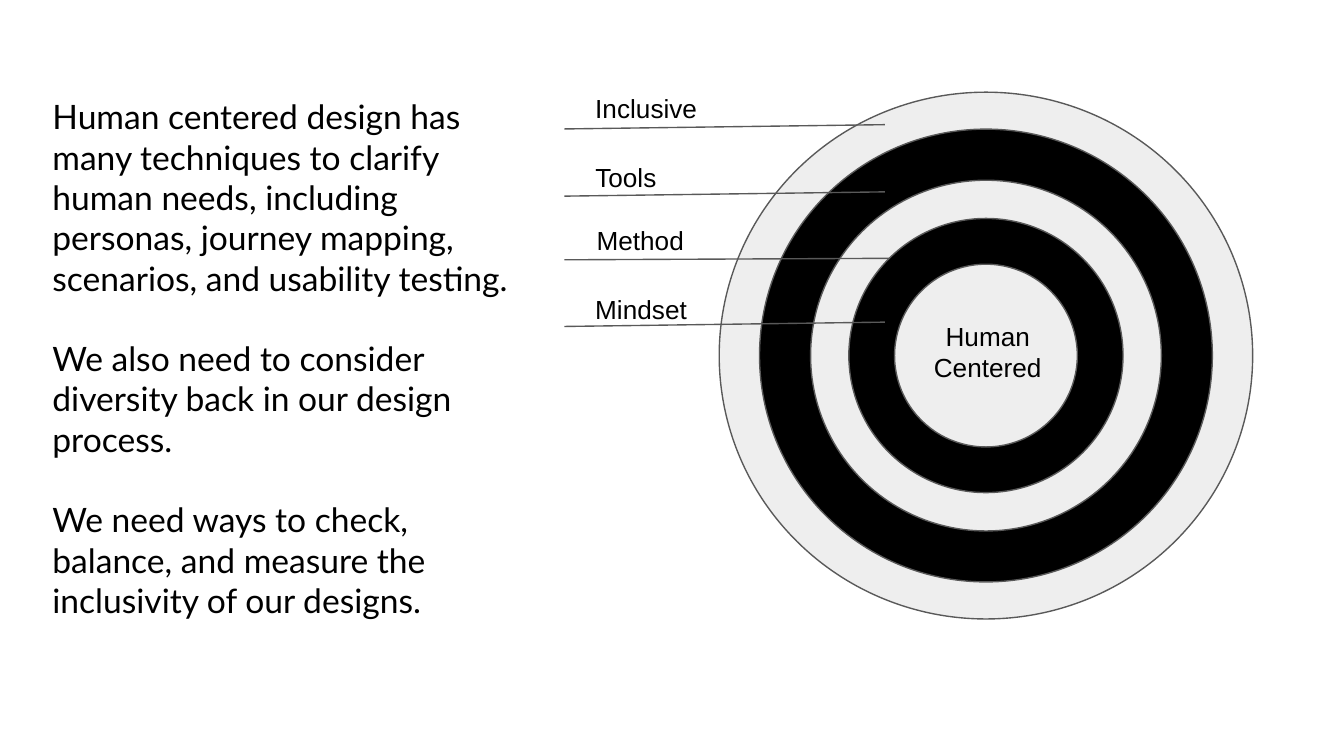
from dataclasses import dataclass

from lxml import etree
from pptx import Presentation
from pptx.dml.color import RGBColor
from pptx.enum.shapes import MSO_CONNECTOR, MSO_SHAPE
from pptx.enum.text import MSO_ANCHOR, MSO_AUTO_SIZE, PP_ALIGN
from pptx.oxml.ns import qn
from pptx.util import Pt


@dataclass(frozen=True)
class Theme:
    ink: RGBColor = RGBColor(0x00, 0x00, 0x00)
    pale: RGBColor = RGBColor(0xEE, 0xEE, 0xEE)
    outline: RGBColor = RGBColor(0x59, 0x59, 0x59)
    statement_font: str = "Lato"
    label_font: str = "Arial"
    statement_size: int = 18
    label_size: int = 14
    line_width: float = 0.75


theme = Theme()
INSET = 7.2


def style_frame(frame, font_name, size, align):
    frame.word_wrap = True
    frame.auto_size = MSO_AUTO_SIZE.NONE
    frame.margin_left = frame.margin_right = Pt(INSET)
    frame.margin_top = frame.margin_bottom = Pt(INSET)
    for paragraph in frame.paragraphs:
        paragraph.alignment = align
        for run in paragraph.runs:
            run.font.name = font_name
            run.font.size = Pt(size)
            run.font.color.rgb = theme.ink


def add_label(text, left, top, width, height, align=PP_ALIGN.LEFT):
    label = slide.shapes.add_textbox(Pt(left), Pt(top), Pt(width), Pt(height))
    label.text_frame.text = text
    style_frame(label.text_frame, theme.label_font, theme.label_size, align)


prs = Presentation()
prs.slide_width, prs.slide_height = Pt(720), Pt(405)
slide = prs.slides.add_slide(prs.slide_layouts[5])

# Statement on the left, in the title placeholder
statement = slide.shapes.title
statement.left, statement.top = Pt(20.9), Pt(64.8)
statement.width, statement.height = Pt(267.8), Pt(275.8)
frame = statement.text_frame
frame.text = "\n".join([
    "Human centered design has many techniques to clarify human needs, "
    "including personas, journey mapping, scenarios, and usability testing.",
    "We also need to consider diversity back in our design process.",
    "We need ways to check, balance, and measure the inclusivity of our designs.",
])
style_frame(frame, theme.statement_font, theme.statement_size, PP_ALIGN.LEFT)
frame.vertical_anchor = MSO_ANCHOR.MIDDLE
line_height = 1.2 * theme.statement_size
frame.margin_bottom = Pt(INSET + line_height)
for paragraph in frame.paragraphs[1:]:
    paragraph.space_before = Pt(line_height)

# Concentric rings, from the outside in, in alternating colours
center_x, center_y = 528.2, 190.5
ring_sizes = [(285.8, 282.2), (242.6, 242.6), (187.9, 187.9),
              (146.9, 146.9), (97.9, 97.9)]
for index, (width, height) in enumerate(ring_sizes):
    ring = slide.shapes.add_shape(
        MSO_SHAPE.OVAL, Pt(center_x - width / 2), Pt(center_y - height / 2),
        Pt(width), Pt(height))
    ring.shadow.inherit = False
    ring.fill.solid()
    ring.fill.fore_color.rgb = theme.ink if index % 2 else theme.pale
    ring.line.color.rgb = theme.outline
    ring.line.width = Pt(theme.line_width)

# Core label
add_label("Human\vCentered", 475.2, 164.2, 108, 51.8, PP_ALIGN.CENTER)

# Ring labels, each with its leader: text, left, top, width, height,
# leader start y, leader end x, leader end y
ring_labels = [
    ("Inclusive", 311.8, 42.5, 72, 27.4, 69.1, 474, 66.8),
    ("Tools", 311.8, 79.2, 58.3, 23.8, 105.1, 474, 102.8),
    ("Method", 312.5, 113, 66.2, 23.8, 139.2, 476.6, 138.4),
    ("Mindset", 311.8, 149.8, 72, 23.8, 174.9, 474, 172.6),
]
for text, left, top, width, height, start_y, end_x, end_y in ring_labels:
    add_label(text, left, top, width, height)
    leader = slide.shapes.add_connector(
        MSO_CONNECTOR.STRAIGHT, Pt(302.4), Pt(start_y), Pt(end_x), Pt(end_y))
    leader.line.color.rgb = theme.outline
    leader.line.width = Pt(theme.line_width)
    etree.SubElement(leader._element.spPr, qn("a:effectLst"))

prs.save("out.pptx")
